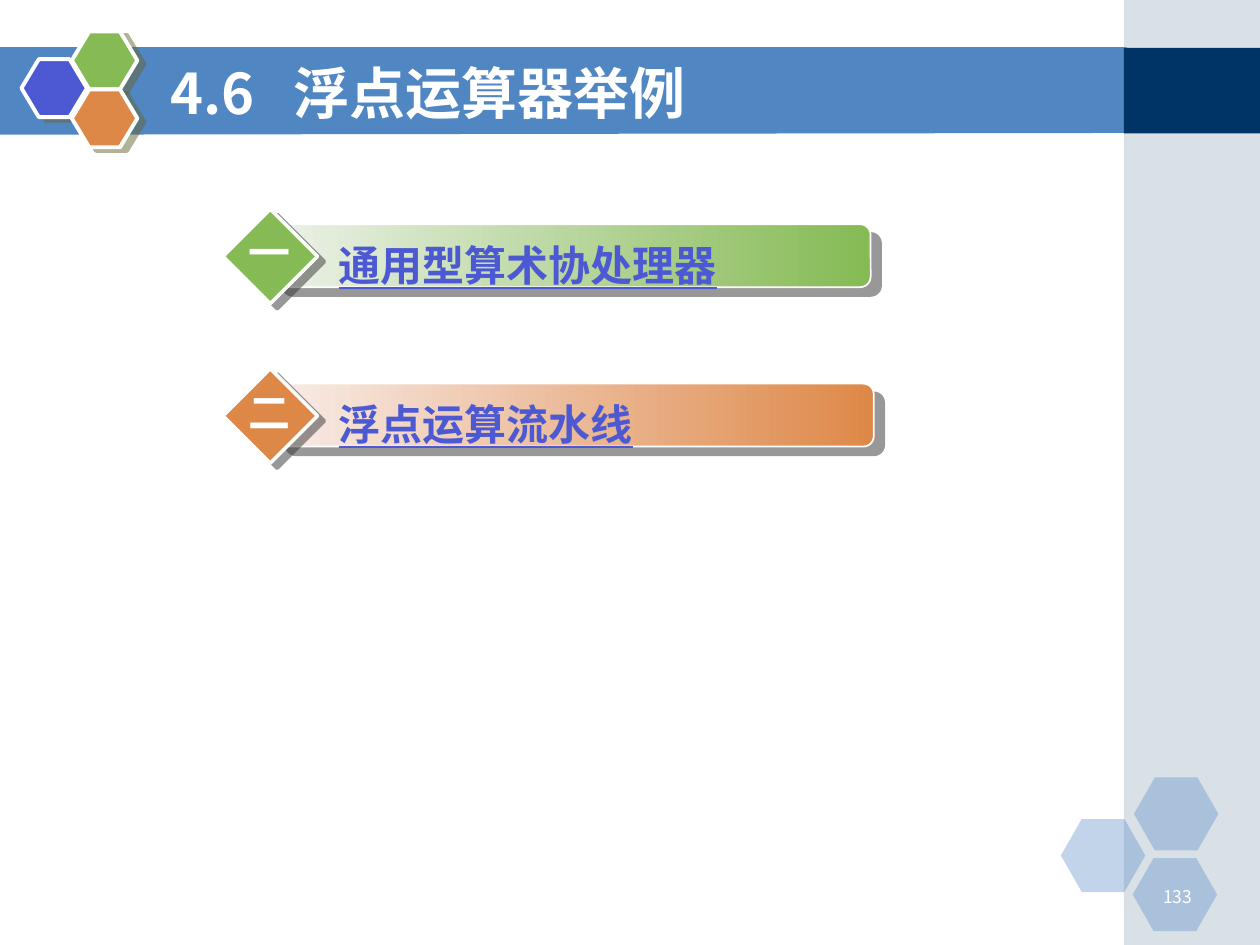
from dataclasses import dataclass

from lxml.etree import SubElement
from pptx import Presentation
from pptx.dml.color import RGBColor
from pptx.enum.shapes import MSO_SHAPE as Kind
from pptx.enum.text import MSO_ANCHOR as Anchor, PP_ALIGN as Align
from pptx.oxml.ns import qn
from pptx.util import Pt

FONT = "Noto Sans CJK SC"
WHITE, BLUE, NAVY, MIST = "FFFFFF", "5086C2", "003366", "A0B5C4"
GREEN, ORANGE, VIOLET = "85BA54", "DE8848", "4C59D2"


@dataclass
class Box:
    left: float
    top: float
    width: float
    height: float

    def pts(self) -> list:
        return [Pt(v) for v in (self.left, self.top, self.width, self.height)]


@dataclass
class Shade:
    color: str
    dist: float
    angle: float


@dataclass
class Hex:
    left: float
    top: float
    color: str


@dataclass
class Item:
    mark: str
    label: str
    left: float
    top: float
    pale: str
    color: str


LOGO_SHADE = Shade("666633", 4.5, 27)
BAR_SHADE = Shade("333333", 7.8, 40)
GEM_SHADE = Shade("333333", 5, 37)

CLUSTER = [Hex(12.24, 33.84, VIOLET), Hex(41.04, 18, GREEN),
           Hex(41.04, 51.12, ORANGE)]
CORNER = [Hex(606.24, 468, BLUE), Hex(648, 444.24, BLUE),
          Hex(647.28, 490.32, BLUE)]
ITEMS = [Item("一", "通用型算术协处理器", 155.52, 119.52, "ECF2E8", GREEN),
         Item("二", "浮点运算流水线", 157.32, 210.6, "F8ECE7", ORANGE)]


def rgb(code: str) -> RGBColor:
    return RGBColor.from_string(code)


def fade(node, percent: float) -> None:
    """Add an alpha value to a colour element."""
    SubElement(node, qn("a:alpha"), val=str(int(percent * 1000)))


def paint(shape, color: str, alpha: float = 100, edge: float = 0,
          shade: Shade | None = None, pale: str = "") -> None:
    """Set fill, white outline and shadow."""
    if pale:
        shape.fill.gradient()
        shape.fill.gradient_angle = 0
        for stop, code in zip(shape.fill.gradient_stops, (pale, color)):
            stop.color.rgb = rgb(code)
    else:
        shape.fill.solid()
        shape.fill.fore_color.rgb = rgb(color)
    props = shape.element.spPr
    if alpha < 100:
        fade(props.find(qn("a:solidFill"))[0], alpha)
    if edge:
        shape.line.width = Pt(edge)
        shape.line.color.rgb = rgb(WHITE)
    else:
        shape.line.fill.background()
    shape.shadow.inherit = False
    if shade:
        drop = SubElement(
            props.find(qn("a:effectLst")), qn("a:outerShdw"), blurRad="0",
            dist=str(Pt(shade.dist)), dir=str(int(shade.angle * 60000)),
            algn="ctr", rotWithShape="0")
        fade(SubElement(drop, qn("a:srgbClr"), val=shade.color), 50)


def draw(shapes, kind: Kind, box: Box, color: str,
         adj: float | None = None, **look) -> None:
    shape = shapes.add_shape(kind, *box.pts())
    if adj is not None:
        shape.adjustments[0] = adj
    paint(shape, color, **look)


def write(frame, text: str, size: float, color: str, bold: bool = True,
          line: bool = False, align: Align = Align.LEFT, wrap: bool = True,
          anchor: Anchor = Anchor.TOP, indent: float = 0,
          tab: float = 0) -> None:
    for name, value in {"word_wrap": wrap, "vertical_anchor": anchor}.items():
        setattr(frame, name, value)
    para = frame.paragraphs[0]
    para.alignment = align
    props = para._p.get_or_add_pPr()
    if indent:
        props.set("marL", str(Pt(indent)))
        props.set("indent", "0")
    if tab:
        stops = SubElement(props, qn("a:tabLst"))
        SubElement(stops, qn("a:tab"), pos=str(Pt(tab)), algn="l")
    run = para.add_run()
    run.text = text
    style = {"size": Pt(size), "bold": bold, "underline": line, "name": FONT}
    for name, value in style.items():
        setattr(run.font, name, value)
    run.font.color.rgb = rgb(color)
    SubElement(run._r.get_or_add_rPr(), qn("a:ea"), typeface=FONT)


def label(shapes, box: Box, text: str, size: float, color: str,
          **look) -> None:
    write(shapes.add_textbox(*box.pts()).text_frame, text, size, color, **look)


def frame_page(shapes) -> None:
    """Draw the banner, the side strip and both hexagon clusters."""
    pen = shapes.build_freeform(-0.72, 27.36, scale=float(Pt(1)))
    pen.add_line_segments([(644.4, 27.36), (644.4, 76.32), (-0.72, 77.04)])
    paint(pen.convert_to_shape(), BLUE)
    draw(shapes, Kind.RECTANGLE, Box(642.24, 0, 77.76, 540), MIST, alpha=40)
    draw(shapes, Kind.RECTANGLE, Box(642.24, 27.36, 77.76, 48.96), NAVY)
    for cell in CORNER:
        draw(shapes, Kind.HEXAGON, Box(cell.left, cell.top, 48.24, 41.76),
             cell.color, adj=0.286, alpha=35)
    for cell in CLUSTER:
        draw(shapes, Kind.HEXAGON, Box(cell.left, cell.top, 37.44, 33.12),
             cell.color, adj=0.3, edge=2.25, shade=LOGO_SHADE)


def add_item(shapes, item: Item) -> None:
    top = item.top
    draw(shapes, Kind.ROUNDED_RECTANGLE, Box(item.left, top + 8.64, 342, 36),
         item.color, adj=0.167, edge=1, shade=BAR_SHADE, pale=item.pale)
    label(shapes, Box(175.68, top + 13.68, 309.6, 36), item.label, 24, VIOLET,
          line=True, indent=10.8)
    draw(shapes, Kind.DIAMOND, Box(127.44, top, 54, 54), item.color,
         edge=2, shade=GEM_SHADE)
    label(shapes, Box(134.64, top + 6.48, 38.88, 36), item.mark, 24, WHITE,
          align=Align.CENTER, wrap=False)


def main() -> None:
    deck = Presentation()
    deck.slide_width, deck.slide_height = Pt(720), Pt(540)
    shapes = deck.slides.add_slide(deck.slide_layouts[5]).shapes
    frame_page(shapes)
    label(shapes, Box(652.32, 502.56, 36, 18), "133", 10, WHITE, bold=False,
          align=Align.RIGHT)

    title = shapes.title
    shapes.element.append(title.element)  # bring in front of the banner
    place = Box(90, 30.24, 527.76, 44.64).pts()
    for name, value in zip(("left", "top", "width", "height"), place):
        setattr(title, name, value)
    write(title.text_frame, "4.6\t浮点运算器举例", 32, WHITE,
          anchor=Anchor.MIDDLE, tab=70.5)

    for item in ITEMS:
        add_item(shapes, item)
    deck.save("out.pptx")


if __name__ == "__main__":
    main()
